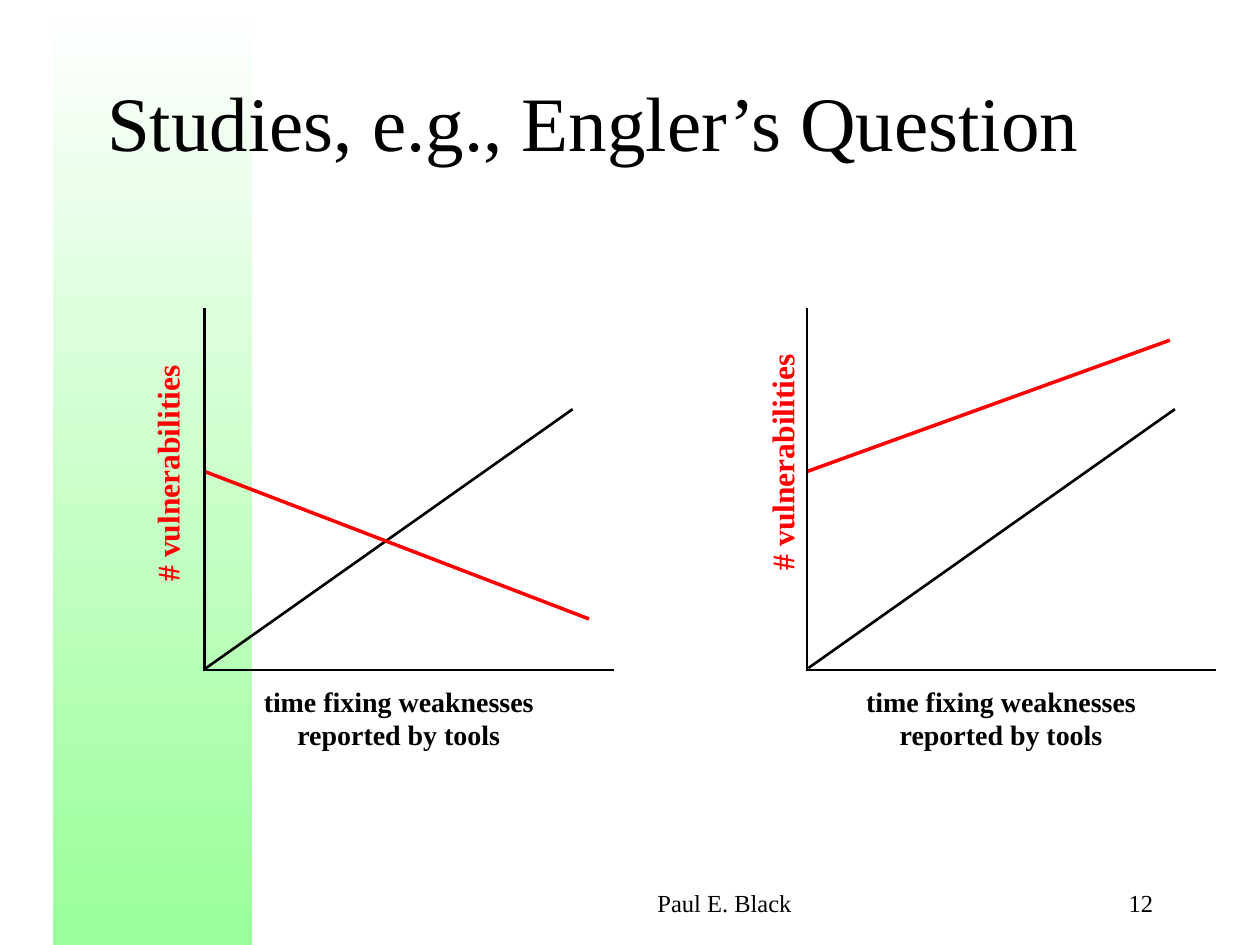
from lxml.etree import SubElement
from pptx import Presentation
from pptx.dml.color import RGBColor
from pptx.enum.shapes import MSO_CONNECTOR, MSO_SHAPE
from pptx.enum.text import MSO_ANCHOR, PP_ALIGN
from pptx.oxml.ns import qn
from pptx.util import Inches, Pt

BLACK = RGBColor(0x00, 0x00, 0x00)
WHITE = RGBColor(0xFF, 0xFF, 0xFF)
RED = RGBColor(0xFF, 0x00, 0x00)
GREEN = RGBColor(0x99, 0xFF, 0x99)
FONT = "Times New Roman"
WIDTH, HEIGHT = Inches(10), Inches(7.5)
ORIGIN_Y = 70.8
LABEL_W, LABEL_H = 21, 5.33


def place(*percents):
    """Turn percentages of the slide's width and height, in turn, into EMU."""
    return [int(v / 100 * (HEIGHT if i % 2 else WIDTH)) for i, v in enumerate(percents)]


def write(shape, text, size, color=BLACK, bold=False, align=PP_ALIGN.LEFT, wrap=True):
    tf = shape.text_frame
    tf.word_wrap = wrap
    tf.vertical_anchor = MSO_ANCHOR.MIDDLE
    for i, line in enumerate(text.split("\n")):
        p = tf.paragraphs[0] if i == 0 else tf.add_paragraph()
        p.alignment = align
        r = p.add_run()
        r.text = line
        r.font.name, r.font.size, r.font.bold = FONT, Pt(size), bold
        r.font.color.rgb = color


def add_text(shapes, box, text, size, **style):
    sp = shapes.add_textbox(*place(*box))
    write(sp, text, size, **style)
    return sp


def add_line(shapes, ends, color=BLACK, width=1.5):
    line = shapes.add_connector(MSO_CONNECTOR.STRAIGHT, *place(*ends))
    line.line.color.rgb = color
    line.line.width = Pt(width)
    SubElement(line._element.spPr, qn("a:effectLst"))


def add_band(s):
    band = s.shapes.add_shape(MSO_SHAPE.RECTANGLE, *place(4.2, 0, 15.8, 100))
    band.shadow.inherit = False
    band.line.fill.background()
    band.fill.gradient()
    band.fill.gradient_angle = 270
    for stop, color, position in zip(band.fill.gradient_stops, (WHITE, GREEN), (0, 1)):
        stop.color.rgb = color
        stop.position = position
    s.shapes._spTree.insert(2, band._element)


def add_plot(shapes, x, trend_end, label_center):
    """Draw axes, effort line and vulnerability trend, in offsets from the origin."""
    y = ORIGIN_Y
    add_line(shapes, (x - 0.1, y + 0.1, x + 32.5, y + 0.1))
    label_x, label_y = label_center
    label_box = (x + label_x - LABEL_W / 2, y + label_y - LABEL_H / 2, LABEL_W, LABEL_H)
    label = add_text(shapes, label_box, "# vulnerabilities", 18, color=RED, bold=True,
                     align=PP_ALIGN.CENTER, wrap=False)
    label.rotation = 270
    add_text(shapes, (x + 3.7, y + 0.9, 23.4, 8.5),
             "time fixing weaknesses\nreported by tools", 16, bold=True,
             align=PP_ALIGN.CENTER, wrap=False)
    add_line(shapes, (x + 0.1, y - 0.1, x + 29.2, y - 27.5))
    add_line(shapes, (x, y - 20.9, x + trend_end[0], y + trend_end[1]), RED, 2)
    add_line(shapes, (x, y - 38.2, x, y))


def main():
    prs = Presentation()
    prs.slide_width, prs.slide_height = WIDTH, HEIGHT
    s = prs.slides.add_slide(prs.slide_layouts[5])
    add_band(s)

    title = s.shapes.title
    title.left, title.top, title.width, title.height = place(7.5, 4.4, 85, 16.67)
    write(title, "Studies, e.g., Engler’s Question", 44)

    add_plot(s.shapes, 16.25, (30.5, -5.3), (-3, -20.7))
    group = s.shapes.add_group_shape()
    add_plot(group.shapes, 64.05, (28.8, -34.8), (-2, -21.9))

    footer = add_text(s.shapes, (36.5, 92.2, 41.2, 6.67), "Paul E. Black", 14,
                      align=PP_ALIGN.CENTER)
    footer.text_frame.margin_left = Inches(0.18)
    add_text(s.shapes, (79.6, 92.2, 12.9, 6.67), "12", 14, align=PP_ALIGN.RIGHT)
    prs.save("out.pptx")


if __name__ == "__main__":
    main()
